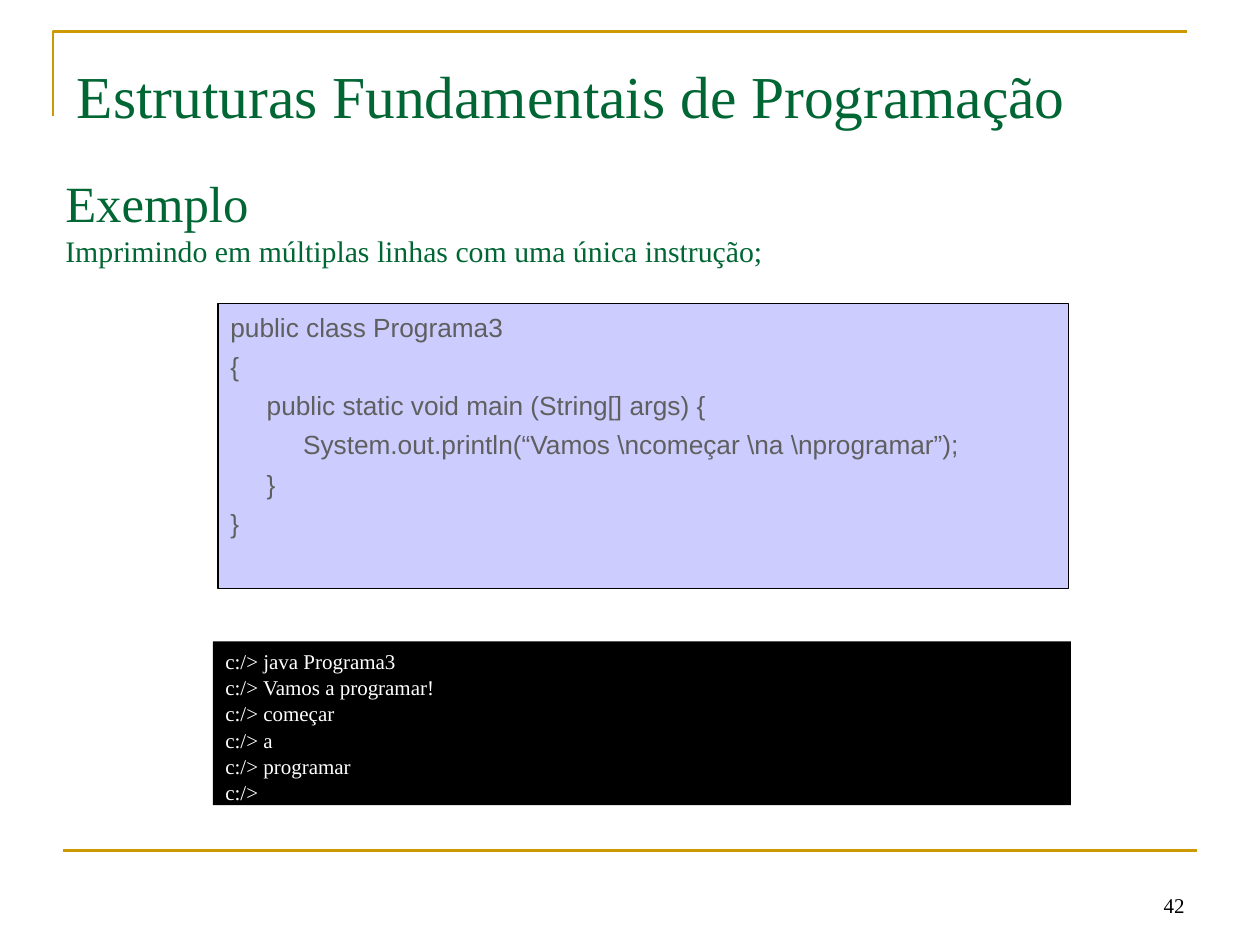
from dataclasses import dataclass

import lxml.etree
import pptx
import pptx.dml.color
import pptx.enum.shapes
import pptx.enum.text
import pptx.oxml.ns
import pptx.util

Inches = pptx.util.Inches
Pt = pptx.util.Pt
Align = pptx.enum.text.PP_ALIGN
Anchor = pptx.enum.text.MSO_ANCHOR
SERIF = "Times New Roman"
GREEN = "006633"
GOLD = "CC9900"


@dataclass
class Line:
    text: str
    size: float
    color: str
    face: str = SERIF
    align: Align = Align.LEFT


@dataclass
class Panel:
    box: tuple[float, float, float, float]
    fill: str
    edge: str | None
    lines: list[Line]
    gap: float = 0


def paint(form, color: str) -> None:
    form.rgb = pptx.dml.color.RGBColor.from_string(color)


def place(shape, box: tuple[float, float, float, float]) -> None:
    shape.left, shape.top, shape.width, shape.height = map(Inches, box)


def write(frame, lines: list[Line], anchor: Anchor, gap: float = 0,
          lead: float = 1.0) -> None:
    frame.word_wrap = True
    frame.auto_size = pptx.enum.text.MSO_AUTO_SIZE.NONE
    frame.vertical_anchor = anchor
    for index, line in enumerate(lines):
        par = frame.add_paragraph() if index else frame.paragraphs[0]
        par.text = line.text
        par.alignment = line.align
        par.line_spacing = lead
        par.space_before = Pt(gap if index else 0)
        par.font.name = line.face
        par.font.size = Pt(line.size)
        paint(par.font.color, line.color)


def label(slide, box: tuple[float, float, float, float], lines: list[Line]) -> None:
    text = slide.shapes.add_textbox(*map(Inches, box))
    write(text.text_frame, lines, Anchor.BOTTOM)


def draw(slide, panel: Panel) -> None:
    rect = slide.shapes.add_shape(
        pptx.enum.shapes.MSO_SHAPE.RECTANGLE, *map(Inches, panel.box))
    rect.shadow.inherit = False
    rect.fill.solid()
    paint(rect.fill.fore_color, panel.fill)
    if panel.edge:
        paint(rect.line.color, panel.edge)
        rect.line.width = Pt(0.75)
    else:
        rect.line.fill.background()
    write(rect.text_frame, panel.lines, Anchor.TOP, panel.gap, 1.04)


def frame(slide) -> None:
    build = slide.shapes.build_freeform(Inches(0.42), Inches(0.92))
    build.add_line_segments(
        [(Inches(0.42), Inches(0.25)), (Inches(9.42), Inches(0.25))], close=False)
    angle = build.convert_to_shape()
    angle.shadow.inherit = False
    angle.fill.background()
    rule = slide.shapes.add_connector(
        pptx.enum.shapes.MSO_CONNECTOR.STRAIGHT,
        *map(Inches, (0.5, 6.75, 9.5, 6.75)))
    for shape in (angle, rule):
        paint(shape.line.color, GOLD)
        shape.line.width = Pt(1.5)
    lxml.etree.SubElement(rule._element.spPr, pptx.oxml.ns.qn("a:effectLst"))


CODE = [
    "public class Programa3",
    "{",
    "     public static void main (String[] args) {",
    "          System.out.println(“Vamos \\ncomeçar \\na \\nprogramar”);",
    "     }",
    "}",
]
SHELL = [
    "c:/> java Programa3",
    "c:/> Vamos a programar!",
    "c:/> começar",
    "c:/> a",
    "c:/> programar",
    "c:/>",
]
PANELS = [
    Panel((1.73, 2.41, 6.75, 2.26), "CCCCFF", "000000",
          [Line(text, 15, "5F5F5F", "Arial") for text in CODE], 3.7),
    Panel((1.69, 5.09, 6.81, 1.3), "000000", None,
          [Line(text, 12, "FFFFFF") for text in SHELL]),
]


def main() -> None:
    deck = pptx.Presentation()
    deck.slide_width, deck.slide_height = Inches(10), Inches(7.5)
    slide = deck.slides.add_slide(deck.slide_layouts[5])
    frame(slide)
    title = slide.shapes.title
    place(title, (0.51, 0.36, 9.18, 0.79))
    write(title.text_frame,
          [Line("Estruturas Fundamentais de Programação", 34, GREEN)],
          Anchor.MIDDLE)
    label(slide, (0.42, 1.27, 6.67, 0.91), [
        Line("Exemplo", 29, GREEN),
        Line("Imprimindo em múltiplas linhas com uma única instrução;", 17, GREEN),
    ])
    for panel in PANELS:
        draw(slide, panel)
    label(slide, (7.17, 6.83, 2.33, 0.5),
          [Line("42", 12, "000000", align=Align.RIGHT)])
    deck.save("out.pptx")


if __name__ == "__main__":
    main()
